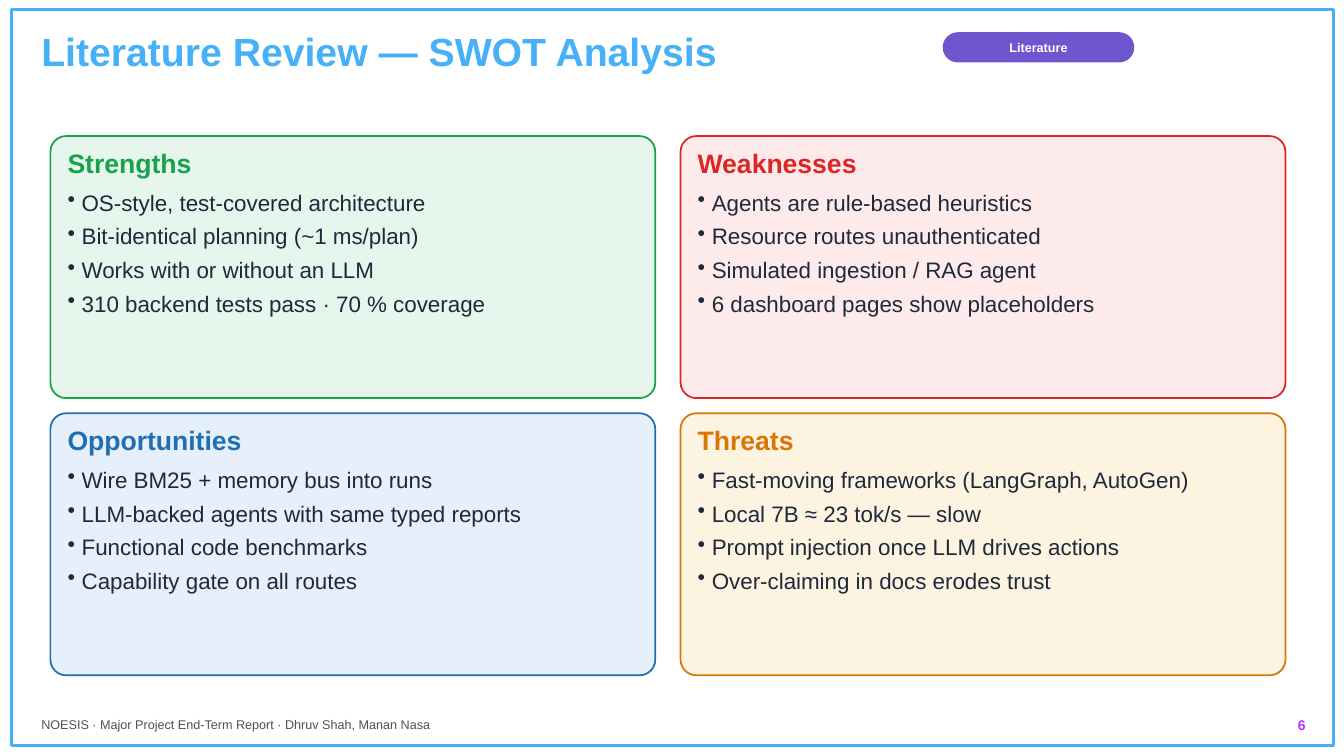
from lxml.etree import SubElement
from pptx import Presentation
from pptx.dml.color import RGBColor
from pptx.enum.shapes import MSO_SHAPE
from pptx.enum.text import MSO_ANCHOR, MSO_AUTO_SIZE, PP_ALIGN
from pptx.oxml.ns import qn
from pptx.util import Inches, Pt

COLORS = {
    "sky": "46B0F9", "violet": "6E56CF", "page": "AE36FF", "white": "FFFFFF",
    "ink": "1E293B", "grey": "52514E",
    "green": "16A34A", "green_tint": "E7F6EC",
    "red": "DC2626", "red_tint": "FDEAEA",
    "blue": "1F6FB2", "blue_tint": "E6F0FA",
    "amber": "D97706", "amber_tint": "FDF3E1",
}


def write(holder, *lines, size, color, bold=False, align=PP_ALIGN.LEFT,
          anchor=MSO_ANCHOR.TOP, margins=(0.05, 0.03), spacing=1.05, after=4,
          bullet_indent=None):
    frame = holder.text_frame
    frame.word_wrap = True
    frame.auto_size = MSO_AUTO_SIZE.NONE
    frame.vertical_anchor = anchor
    frame.margin_left = frame.margin_right = Inches(margins[0])
    frame.margin_top = frame.margin_bottom = Inches(margins[1])
    for number, line in enumerate(lines):
        paragraph = frame.add_paragraph() if number else frame.paragraphs[0]
        paragraph.alignment = align
        paragraph.line_spacing = spacing
        paragraph.space_before = Pt(0)
        paragraph.space_after = Pt(after)
        if bullet_indent:
            properties = paragraph._p.get_or_add_pPr()
            properties.set("marL", str(Inches(bullet_indent)))
            properties.set("indent", str(-Inches(bullet_indent)))
            SubElement(properties, qn("a:buChar")).set("char", "•")
        run = paragraph.add_run()
        run.text = line
        run.font.name = "Arial"
        run.font.size = Pt(size)
        run.font.bold = bold
        run.font.color.rgb = RGBColor.from_string(COLORS[color])


def add_panel(kind, left, top, width, height, fill=None, line=None, weight=1.25):
    panel = slide.shapes.add_shape(
        kind, Inches(left), Inches(top), Inches(width), Inches(height))
    panel.shadow.inherit = False
    for part, color in ((panel.fill, fill), (panel.line.fill, line)):
        if color:
            part.solid()
            part.fore_color.rgb = RGBColor.from_string(COLORS[color])
        else:
            part.background()
    if line:
        panel.line.width = Pt(weight)
    return panel


presentation = Presentation()
presentation.slide_width = Inches(13.33)
presentation.slide_height = Inches(7.5)
slide = presentation.slides.add_slide(presentation.slide_layouts[5])

# Page frame
add_panel(MSO_SHAPE.RECTANGLE, 0.11, 0.09, 13.12, 7.31, line="sky", weight=2.25)

# Title
title = slide.shapes.title
title.left, title.top = Inches(0.36), Inches(0.22)
title.width, title.height = Inches(10.9), Inches(0.65)
write(title, "Literature Review — SWOT Analysis", size=28, color="sky", bold=True)

# Section tag
section_tag = add_panel(MSO_SHAPE.ROUNDED_RECTANGLE, 9.35, 0.32, 1.9, 0.3, fill="violet")
section_tag.adjustments[0] = 0.5
write(section_tag, "Literature", size=9, color="white", bold=True,
      align=PP_ALIGN.CENTER, anchor=MSO_ANCHOR.MIDDLE, margins=(0.03, 0),
      spacing=1.0, after=0)

# SWOT quadrants on a two-by-two grid
quadrants = [
    ("Strengths", "green", [
        "OS-style, test-covered architecture",
        "Bit-identical planning (~1 ms/plan)",
        "Works with or without an LLM",
        "310 backend tests pass · 70 % coverage"]),
    ("Weaknesses", "red", [
        "Agents are rule-based heuristics",
        "Resource routes unauthenticated",
        "Simulated ingestion / RAG agent",
        "6 dashboard pages show placeholders"]),
    ("Opportunities", "blue", [
        "Wire BM25 + memory bus into runs",
        "LLM-backed agents with same typed reports",
        "Functional code benchmarks",
        "Capability gate on all routes"]),
    ("Threats", "amber", [
        "Fast-moving frameworks (LangGraph, AutoGen)",
        "Local 7B ≈ 23 tok/s — slow",
        "Prompt injection once LLM drives actions",
        "Over-claiming in docs erodes trust"]),
]
card_width, card_height = 6, 2.6
column_gap, row_gap = 0.25, 0.15
inset = 0.12
for index, (heading, accent, points) in enumerate(quadrants):
    row, column = divmod(index, 2)
    left = 0.5 + column * (card_width + column_gap)
    top = 1.35 + row * (card_height + row_gap)
    card = add_panel(MSO_SHAPE.ROUNDED_RECTANGLE, left, top, card_width, card_height,
                     fill=accent + "_tint", line=accent)
    card.adjustments[0] = 0.06
    text_left, text_width = Inches(left + inset), Inches(card_width - 2 * inset)
    heading_box = slide.shapes.add_textbox(
        text_left, Inches(top + 0.06), text_width, Inches(0.42))
    write(heading_box, heading, size=19, color=accent, bold=True)
    points_box = slide.shapes.add_textbox(
        text_left, Inches(top + 0.48), text_width, Inches(2.05))
    write(points_box, *points, size=16, color="ink", bullet_indent=0.14)

# Footer
credit = slide.shapes.add_textbox(Inches(0.36), Inches(7.07), Inches(7.5), Inches(0.3))
write(credit, "NOESIS · Major Project End-Term Report · Dhruv Shah, Manan Nasa",
      size=9, color="grey")
page_number = slide.shapes.add_textbox(Inches(11.6), Inches(7.07), Inches(1.4), Inches(0.3))
write(page_number, "6", size=10, color="page", bold=True, align=PP_ALIGN.RIGHT)

presentation.save("out.pptx")
